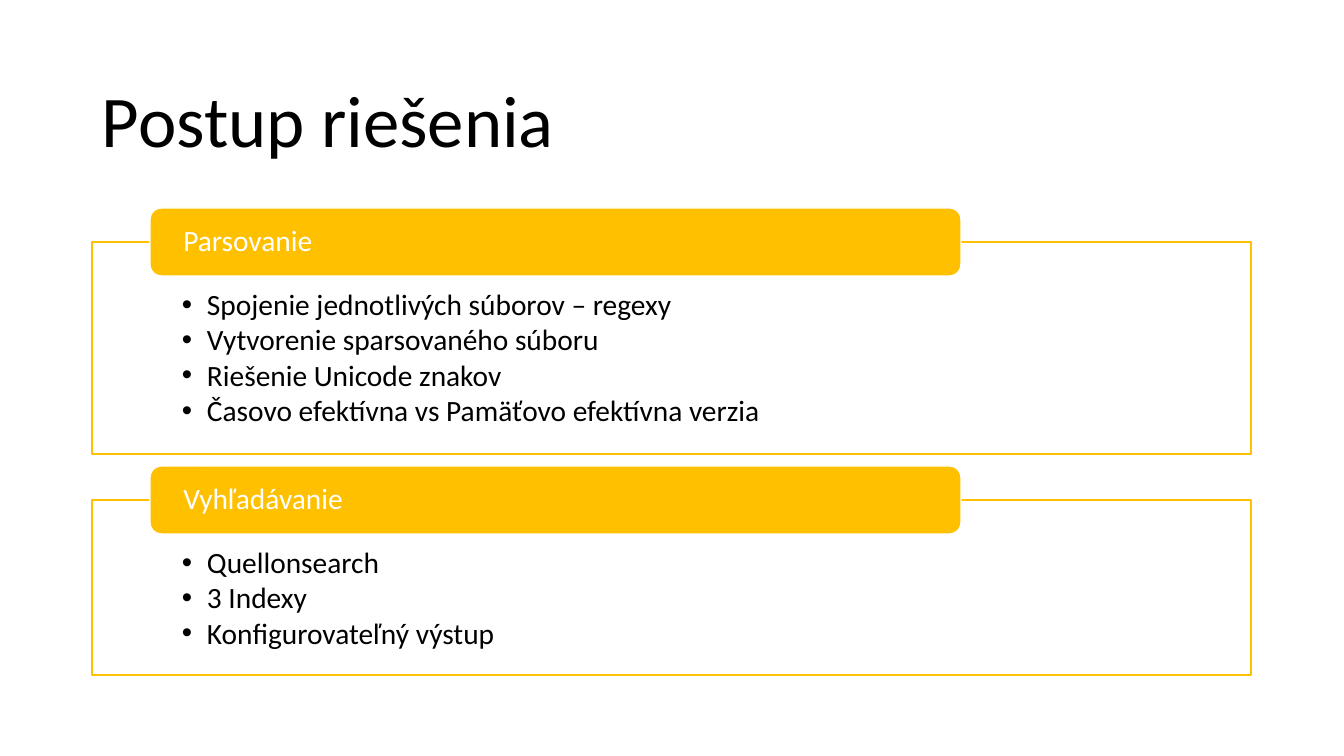
from lxml.etree import SubElement
from pptx import Presentation
from pptx.dml.color import RGBColor
from pptx.enum.shapes import MSO_SHAPE as Preset
from pptx.enum.text import MSO_ANCHOR as Anchor, PP_ALIGN as Align
from pptx.oxml.ns import qn
from pptx.util import Emu, Inches, Pt

PIXEL = Inches(1) / 100.8
COLORS = {"text": "000000", "panel": "FFFFFF", "accent": "FFC000"}
FONT = "Calibri"
LEFT, WIDTH = 92, 1159
HEADER_LEFT, HEADER_WIDTH, HEADER_HEIGHT = 150, 811, 68
PANEL_TOP_INSET, PANEL_BOTTOM_INSET, LINE_PITCH = 48, 16, 37
FIRST_TOP, SECTION_GAP = 208, 12
SECTIONS = [
    ("Parsovanie", [
        "Spojenie jednotlivých súborov – regexy",
        "Vytvorenie sparsovaného súboru",
        "Riešenie Unicode znakov",
        "Časovo efektívna vs Pamäťovo efektívna verzia",
    ]),
    ("Vyhľadávanie", ["Quellonsearch", "3 Indexy", "Konfigurovateľný výstup"]),
]


def px(value):
    """Turn picture pixels into EMU."""
    return Emu(round(value * PIXEL))


def color(name):
    """Look up a named colour."""
    return RGBColor.from_string(COLORS[name])


def set_frame(shape, anchor, insets):
    """Set wrapping, anchor and left, top, right, bottom insets."""
    frame = shape.text_frame
    frame.word_wrap = True
    frame.vertical_anchor = anchor
    (frame.margin_left, frame.margin_top,
     frame.margin_right, frame.margin_bottom) = map(px, insets)
    return frame


def write(para, text, size, color_name):
    """Add one run of text to a paragraph."""
    para.alignment = Align.LEFT
    para.line_spacing = 0.9
    span = para.add_run()
    span.text = text
    span.font.name = FONT
    span.font.size = Pt(size)
    span.font.color.rgb = color(color_name)


def add_bullet(para):
    """Give a paragraph a round bullet with a hanging indent."""
    props = para._p.get_or_add_pPr()
    props.set("marL", str(px(25)))
    props.set("indent", str(-px(25)))
    SubElement(props, qn("a:buFont"), typeface="Arial")
    SubElement(props, qn("a:buChar"), char="•")


def add_box(page, preset, bounds, fill, line):
    """Add a filled and outlined shape without a shadow."""
    box = page.shapes.add_shape(preset, *map(px, bounds))
    box.shadow.inherit = False
    box.fill.solid()
    box.fill.fore_color.rgb = color(fill)
    box.line.color.rgb = color(line)
    box.line.width = Pt(1)
    return box


def add_title(page, text):
    """Add the slide title."""
    box = page.shapes.add_textbox(*map(px, (LEFT, 61, WIDTH, 125)))
    frame = set_frame(box, Anchor.MIDDLE, (10, 5, 10, 5))
    write(frame.paragraphs[0], text, 52, "text")


def add_panel(page, top, height, items):
    """Add an outlined panel with a bulleted list."""
    box = add_box(page, Preset.RECTANGLE, (LEFT, top, WIDTH, height), "panel", "accent")
    frame = set_frame(box, Anchor.TOP, (90, PANEL_TOP_INSET, 90, PANEL_BOTTOM_INSET))
    for index, item in enumerate(items):
        para = frame.add_paragraph() if index else frame.paragraphs[0]
        write(para, item, 21, "text")
        para.space_after = Pt(2.6)
        add_bullet(para)


def add_header(page, top, text):
    """Add the rounded heading of a section."""
    bounds = (HEADER_LEFT, top, HEADER_WIDTH, HEADER_HEIGHT)
    box = add_box(page, Preset.ROUNDED_RECTANGLE, bounds, "accent", "panel")
    frame = set_frame(box, Anchor.MIDDLE, (30, 0, 30, 0))
    write(frame.paragraphs[0], text, 21, "panel")


def add_section(page, top, heading, items):
    """Add a panel with its heading across the top edge; return its bottom."""
    panel_top = top + HEADER_HEIGHT // 2
    height = PANEL_TOP_INSET + LINE_PITCH * len(items) + PANEL_BOTTOM_INSET
    add_panel(page, panel_top, height, items)
    add_header(page, top, heading)
    return panel_top + height


def main():
    """Build and save the slide."""
    deck = Presentation()
    deck.slide_width, deck.slide_height = px(1344), px(756)
    page = deck.slides.add_slide(deck.slide_layouts[6])
    add_title(page, "Postup riešenia")
    top = FIRST_TOP
    for heading, items in SECTIONS:
        top = add_section(page, top, heading, items) + SECTION_GAP
    deck.save("out.pptx")


main()
